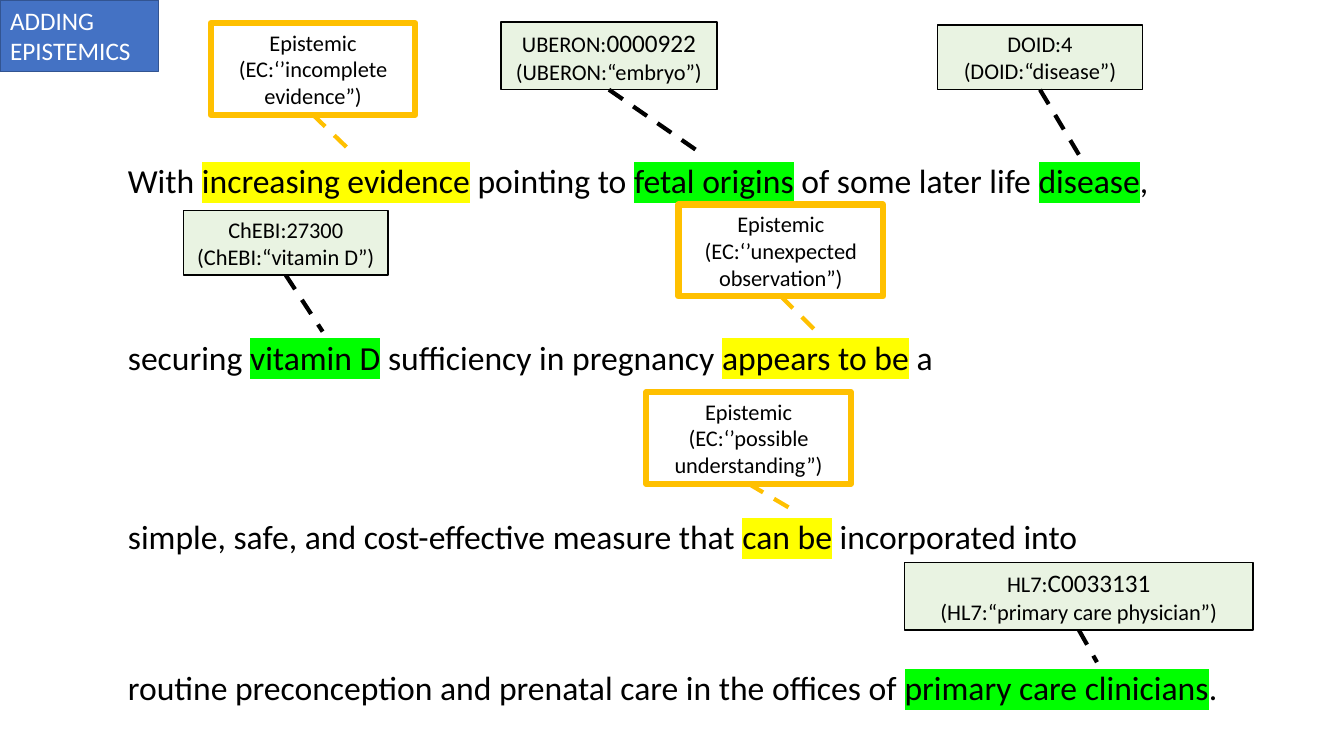
from lxml import etree
from pptx import Presentation
from pptx.dml.color import RGBColor
from pptx.enum import dml, shapes, text
from pptx.oxml import ns
from pptx.util import Inches, Pt

BLACK, WHITE = RGBColor(0, 0, 0), RGBColor(255, 255, 255)
YELLOW, GREEN = RGBColor(255, 255, 0), RGBColor(0, 255, 0)
AMBER, SAGE = RGBColor(0xFF, 0xC0, 0x00), RGBColor(0xA9, 0xD1, 0x8E)
BLUE, NAVY = RGBColor(0x44, 0x72, 0xC4), RGBColor(0x32, 0x54, 0x91)

# Content: sentence lines as (top, width, [(words, highlight)])
SENTENCE = [
    (1.54, 10.86, [("With ", None), ("increasing evidence", YELLOW),
                   (" pointing to ", None), ("fetal origins", GREEN),
                   (" of some later life ", None), ("disease", GREEN), (", ", None)]),
    (3.29, 10.86, [("securing ", None), ("vitamin D", GREEN),
                   (" sufficiency in pregnancy ", None),
                   ("appears to be", YELLOW), (" a", None)]),
    (5.07, 10.99, [("simple, safe, and cost-effective measure that ", None),
                   ("can be", YELLOW), (" incorporated into", None)]),
    (6.57, 11.25, [("routine preconception and prenatal care in the offices of ", None),
                   ("primary care clinicians", GREEN), (".", None)]),
]
# Labels: (box left, top, width, height), pointer end, paragraphs of (words, size)
CONCEPTS = [
    ((4.97, 0.22, 2.14, 0.67), (6.98, 1.54),
     [[("UBERON:", 16), ("0000922", 18)], [("(UBERON:“embryo”)", 16)]]),
    ((9.3, 0.25, 2.03, 0.64), (10.71, 1.55),
     [[("DOID:4", 16)], [("(DOID:“disease”)", 16)]]),
    ((1.82, 2.09, 2.03, 0.64), (3.2, 3.29),
     [[("ChEBI:27300", 16)], [("(ChEBI:“vitamin D”)", 16)]]),
    ((8.97, 5.58, 3.46, 0.67), (10.88, 6.57),
     [[("HL7:", 16), ("C0033131", 18)], [("(HL7:“primary care physician”)", 16)]]),
]
EPISTEMICS = [
    ((2.09, 0.23), (3.51, 1.53), "incomplete evidence"),
    ((6.73, 2.03), (8.14, 3.33), "unexpected observation"),
    ((6.41, 3.89), (7.9, 5.08), "possible understanding"),
]
EPISTEMIC_SIZE = (2.03, 0.91)

prs = Presentation()
prs.slide_width, prs.slide_height = Inches(13.33), Inches(7.5)
s = prs.slides.add_slide(prs.slide_layouts[5])


def add_run(p, words, size, color=BLACK, highlight=None):
    r = p.add_run()
    r.text = words
    for name, value in {"size": Pt(size), "name": "Calibri"}.items():
        setattr(r.font, name, value)
    r.font.color.rgb = color
    if highlight is not None:
        mark = etree.Element(ns.qn("a:highlight"))
        etree.SubElement(mark, ns.qn("a:srgbClr"), val=str(highlight))
        r.font._element.find(ns.qn("a:solidFill")).addnext(mark)


def paint(sp, fill, line, width, alpha=None):
    sp.fill.solid()
    sp.fill.fore_color.rgb = fill
    sp.line.color.rgb = line
    sp.line.width = Pt(width)
    if alpha:
        color = sp._element.spPr.find(ns.qn("a:solidFill"))[0]
        etree.SubElement(color, ns.qn("a:alpha"), val=str(alpha * 1000))


def add_label(box, end, paragraphs, fill, line, width, alpha=None):
    sp = s.shapes.add_shape(shapes.MSO_SHAPE.RECTANGLE, *map(Inches, box))
    sp.shadow.inherit = False
    paint(sp, fill, line, width, alpha)
    tf = sp.text_frame
    tf.word_wrap = True
    tf.vertical_anchor = text.MSO_ANCHOR.MIDDLE
    for i, runs in enumerate(paragraphs):
        p = tf.add_paragraph() if i else tf.paragraphs[0]
        p.alignment = text.PP_ALIGN.CENTER
        for words, size in runs:
            add_run(p, words, size)
    # Dashed pointer from the bottom of the box to its words
    x, y = map(Inches, end)
    pointer = s.shapes.add_connector(shapes.MSO_CONNECTOR.STRAIGHT, x, y, x, y)
    pointer.begin_connect(sp, 2)
    pointer.line.color.rgb = line
    pointer.line.width = Pt(3)
    pointer.line.dash_style = dml.MSO_LINE.DASH
    etree.SubElement(pointer._element.spPr, ns.qn("a:effectLst"))


# Title tag in the corner
title = s.shapes.title
for name, value in zip(("left", "top", "width", "height"), (0, 0, 1.57, 0.71)):
    setattr(title, name, Inches(value))
paint(title, BLUE, NAVY, 1)
tf = title.text_frame
tf.word_wrap = True
tf.auto_size = text.MSO_AUTO_SIZE.NONE
tf.vertical_anchor = text.MSO_ANCHOR.MIDDLE
tf.paragraphs[0].alignment = text.PP_ALIGN.LEFT
add_run(tf.paragraphs[0], "ADDING EPISTEMICS", 18, WHITE)

# Sentence lines
for top, width, runs in SENTENCE:
    tf = s.shapes.add_textbox(*map(Inches, (1.17, top, width, 0.5))).text_frame
    tf.word_wrap = True
    p = tf.paragraphs[0]
    p.alignment = text.PP_ALIGN.JUSTIFY
    for words, highlight in runs:
        add_run(p, words, 24, highlight=highlight)

# Concept and epistemic labels
for box, end, paragraphs in CONCEPTS:
    add_label(box, end, paragraphs, SAGE, BLACK, 1, alpha=25)
for corner, end, meaning in EPISTEMICS:
    paragraphs = [[("Epistemic", 16)], [(f"(EC:‘’{meaning}”)", 16)]]
    add_label(corner + EPISTEMIC_SIZE, end, paragraphs, WHITE, AMBER, 4.5)

prs.save("out.pptx")
